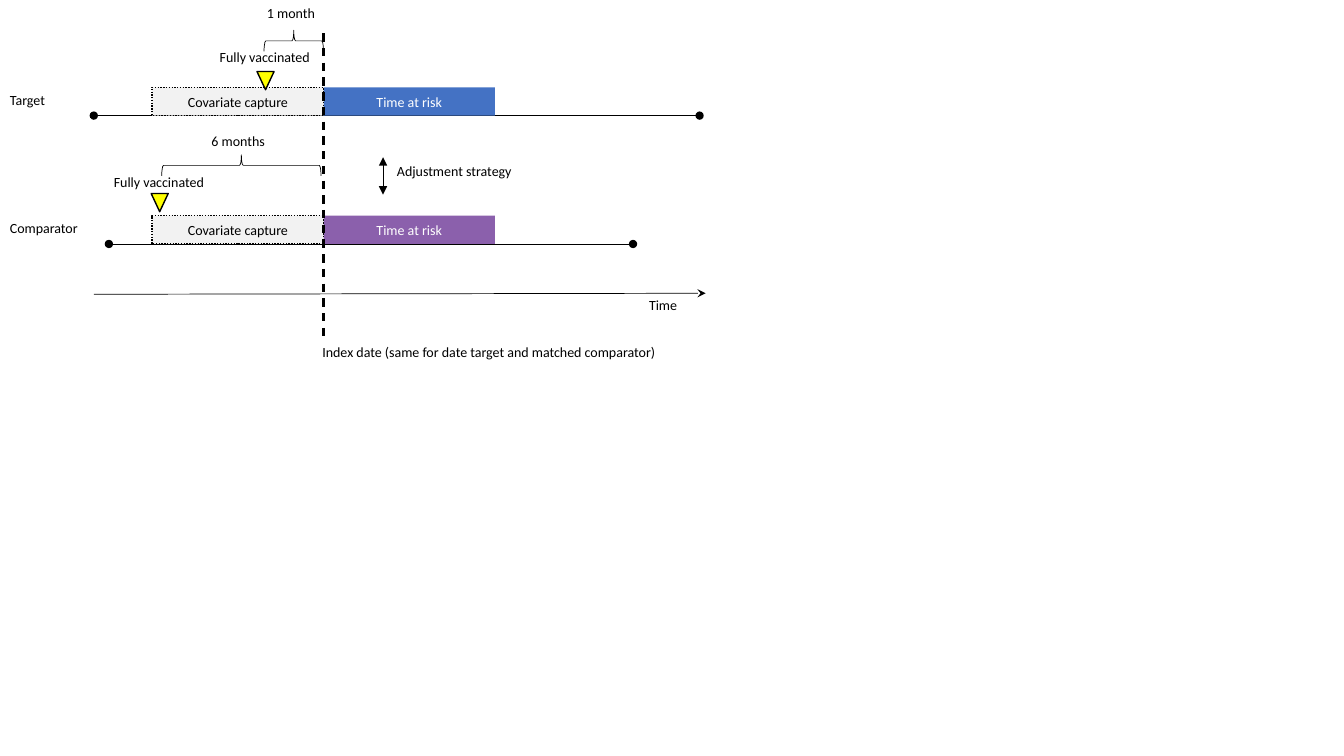
"""Builds a cohort timeline slide with target and comparator rows."""
import pptx
import pptx.dml.color
import pptx.enum.dml
import pptx.enum.shapes
import pptx.enum.text
import pptx.oxml.xmlchemy
import pptx.util

Pt = pptx.util.Pt
RGBColor = pptx.dml.color.RGBColor
SHAPE = pptx.enum.shapes.MSO_SHAPE
DASH = pptx.enum.dml.MSO_LINE
TEXT = pptx.enum.text
OxmlElement = pptx.oxml.xmlchemy.OxmlElement
BLACK = RGBColor(0x00, 0x00, 0x00)
WHITE = RGBColor(0xFF, 0xFF, 0xFF)
GREY = RGBColor(0xF2, 0xF2, 0xF2)
BLUE = RGBColor(0x44, 0x72, 0xC4)
PURPLE = RGBColor(0x8B, 0x60, 0xAC)
YELLOW = RGBColor(0xFF, 0xFF, 0x00)

INDEX_X = 231.1
BAR_W, BAR_H = 122.4, 20.2
BRACE_H = 15.1

prs = pptx.Presentation()
prs.slide_width, prs.slide_height = Pt(960), Pt(540)
s = prs.slides.add_slide(prs.slide_layouts[6])


def add_box(kind, x, y, w, h, text="", fill=None, color=BLACK, line=None, dash=None):
    """Add a preset shape, or a text box when kind is None."""
    box = [Pt(v) for v in (x, y, w, h)]
    if kind is None:
        sp = s.shapes.add_textbox(*box)
        formats = {"word_wrap": False, "auto_size": TEXT.MSO_AUTO_SIZE.SHAPE_TO_FIT_TEXT}
        align = TEXT.PP_ALIGN.LEFT
    else:
        sp = s.shapes.add_shape(kind, *box)
        sp.shadow.inherit = False
        formats = {"word_wrap": True, "vertical_anchor": TEXT.MSO_ANCHOR.MIDDLE}
        align = TEXT.PP_ALIGN.CENTER
    if fill is None:
        sp.fill.background()
    else:
        sp.fill.solid()
        sp.fill.fore_color.rgb = fill
    if line is None:
        sp.line.fill.background()
    else:
        sp.line.color.rgb = BLACK
        sp.line.width = Pt(line)
        sp.line.dash_style = dash
    if text:
        for name, value in formats.items():
            setattr(sp.text_frame, name, value)
        p = sp.text_frame.paragraphs[0]
        p.alignment = align
        r = p.add_run()
        r.text = text
        for name, value in {"name": "Calibri", "size": Pt(10)}.items():
            setattr(r.font, name, value)
        r.font.color.rgb = color
    return sp


def add_line(x1, y1, x2, y2, width=0.5, head=None, tail=None, dash=None):
    """Add a black straight connector with optional line ends."""
    ends = [Pt(v) for v in (x1, y1, x2, y2)]
    cn = s.shapes.add_connector(pptx.enum.shapes.MSO_CONNECTOR.STRAIGHT, *ends)
    cn.line.color.rgb = BLACK
    cn.line.width = Pt(width)
    cn.line.dash_style = dash
    ln = cn.line._get_or_add_ln()
    for tag, end in (("a:headEnd", head), ("a:tailEnd", tail)):
        if end:
            el = OxmlElement(tag)
            el.set("type", end)
            ln.append(el)
    cn._element.spPr.append(OxmlElement("a:effectLst"))


add_line(67, 210.2, 504, 209.5, tail="stealth")

cohorts = [
    ("Target", 41, 62.4, 67, 499.7, BLUE),
    ("Comparator", 64, 154.1, 77.8, 452.2, PURPLE),
]
for name, width, top, start, end, color in cohorts:
    add_line(start, top + BAR_H, end, top + BAR_H, head="oval", tail="oval")
    add_box(None, 0, top - 0.7, width, 19.4, name)
    add_box(SHAPE.RECTANGLE, INDEX_X, top, BAR_W, BAR_H, "Time at risk", color, WHITE)
    add_box(SHAPE.RECTANGLE, INDEX_X - BAR_W, top, BAR_W, BAR_H, "Covariate capture",
            GREY, line=1, dash=DASH.ROUND_DOT)

add_line(INDEX_X, 23.8, INDEX_X, 239.8, width=1.5, dash=DASH.DASH)
add_line(273.6, 112.3, 273.6, 139, head="triangle", tail="triangle")

for x, y in ((183.6, 51.1), (108, 138.2)):
    add_box(SHAPE.FLOWCHART_MERGE, x, y, 12.2, 13, fill=YELLOW, line=1)

for left, right, middle in ((188.6, INDEX_X, 29.2), (115.5, 229.3, 118.1)):
    span = right - left
    brace = add_box(SHAPE.RIGHT_BRACE, (left + right - BRACE_H) / 2, middle - span / 2,
                    BRACE_H, span, line=0.5)
    brace.rotation = 270

labels = [
    ("Time", 456.5, 208.1, 46.8, 25.9),
    ("Fully vaccinated", 149.8, 31, 79.9, 19.4),
    ("Fully vaccinated", 74.2, 120.2, 79.9, 19.4),
    ("Adjustment strategy", 276.5, 112.3, 132.5, 25.9),
    ("Index date (same for date target and matched comparator)", 223.2, 241.9, 254.9, 19.4),
    ("1 month", 183.6, 0, 49.7, 19.4),
    ("6 months", 144, 91.4, 53.3, 19.4),
]
for text, *box in labels:
    add_box(None, *box, text)

prs.save("out.pptx")
